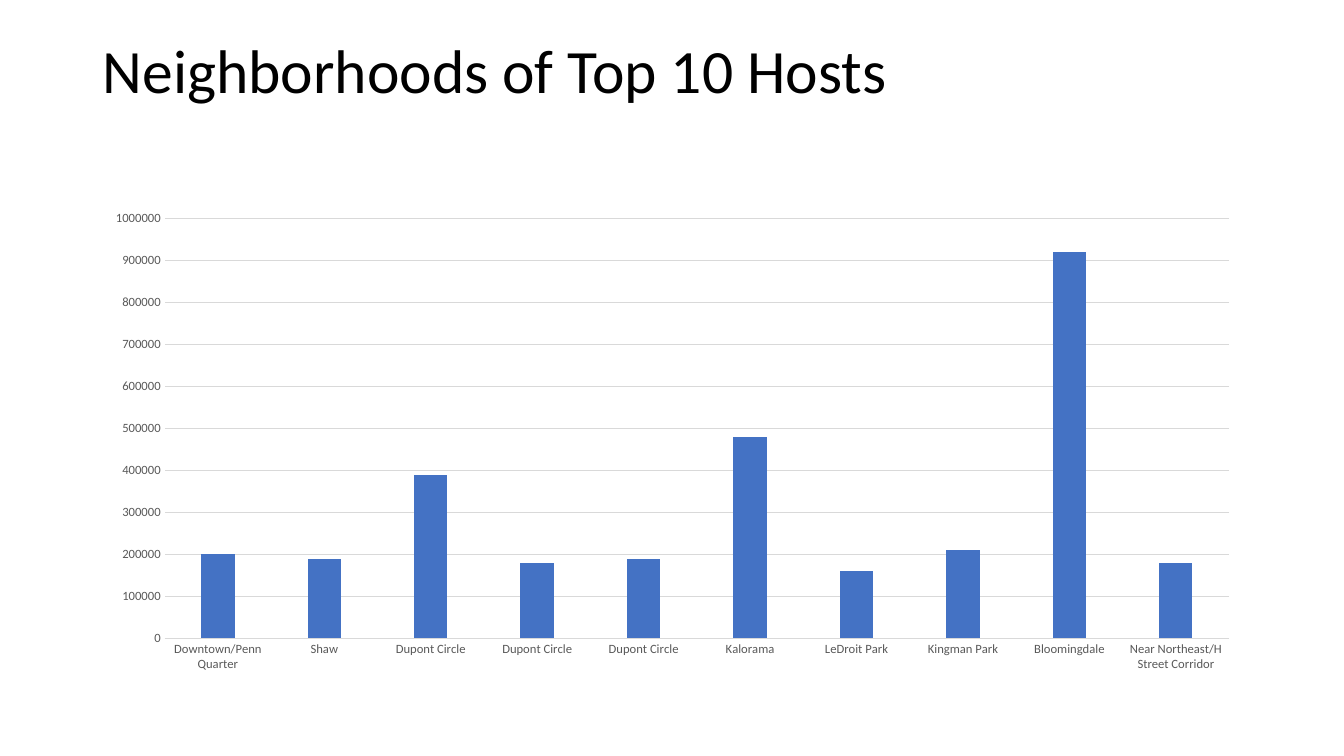
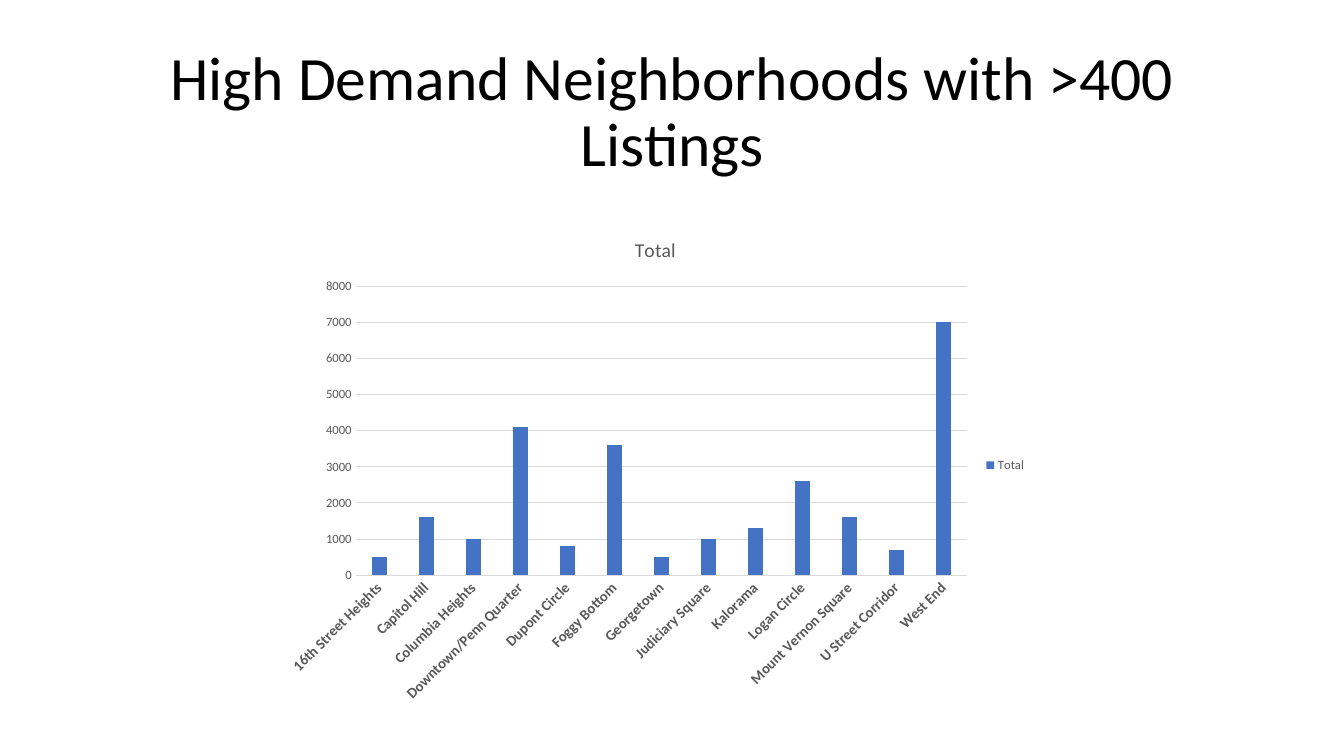
from pptx import Presentation
from pptx.chart.data import CategoryChartData
from pptx.dml.color import RGBColor
from pptx.enum.chart import XL_CHART_TYPE, XL_LEGEND_POSITION, XL_TICK_MARK
from pptx.enum.text import MSO_ANCHOR, MSO_AUTO_SIZE, PP_ALIGN
from pptx.util import Inches, Pt

FONT = "Calibri"
COLORS = {"title": "000000", "label": "595959", "grid": "D9D9D9", "bar": "4472C4"}

HOSTS = [
    ("Downtown/Penn Quarter", 200000), ("Shaw", 190000),
    ("Dupont Circle", 390000), ("Dupont Circle", 180000),
    ("Dupont Circle", 190000), ("Kalorama", 480000),
    ("LeDroit Park", 160000), ("Kingman Park", 210000),
    ("Bloomingdale", 920000), ("Near Northeast/H Street Corridor", 180000),
]
DEMAND = [
    ("16th Street Heights", 500), ("Capitol Hill", 1600),
    ("Columbia Heights", 1000), ("Downtown/Penn Quarter", 4100),
    ("Dupont Circle", 800), ("Foggy Bottom", 3600),
    ("Georgetown", 500), ("Judiciary Square", 1000),
    ("Kalorama", 1300), ("Logan Circle", 2600),
    ("Mount Vernon Square", 1600), ("U Street Corridor", 700),
    ("West End", 7000),
]


def rgb(name):
    return RGBColor.from_string(COLORS[name])


def assign(item, **values):
    for key, value in values.items():
        setattr(item, key, value)


def style(font, size, color="label", bold=False):
    assign(font, name=FONT, size=Pt(size), bold=bold)
    font.color.rgb = rgb(color)


def rule(line):
    line.color.rgb = rgb("grid")
    line.width = Pt(0.75)


def add_slide(deck, text, align, anchor):
    slide = deck.slides.add_slide(deck.slide_layouts[5])
    title = slide.shapes.title
    assign(title, left=Inches(0.92), top=Inches(0.4),
           width=Inches(11.5), height=Inches(1.45))
    frame = title.text_frame
    frame.text = text
    assign(frame, word_wrap=True, auto_size=MSO_AUTO_SIZE.NONE,
           vertical_anchor=anchor, margin_top=0, margin_bottom=0)
    par = frame.paragraphs[0]
    assign(par, alignment=align, line_spacing=0.9)
    style(par.runs[0].font, 44, "title")
    return slide


def add_bars(slide, box, name, rows, top, step):
    data = CategoryChartData()
    data.categories = [label for label, _ in rows]
    data.add_series(name, [value for _, value in rows])
    kind = XL_CHART_TYPE.COLUMN_CLUSTERED
    chart = slide.shapes.add_chart(kind, *map(Inches, box), data).chart
    assign(chart, has_title=False, has_legend=False)
    style(chart.font, 10, "title")
    plot = chart.plots[0]
    assign(plot, gap_width=219, overlap=-27, vary_by_categories=False)
    fill = plot.series[0].format.fill
    fill.solid()
    fill.fore_color.rgb = rgb("bar")
    for axis in (chart.category_axis, chart.value_axis):
        assign(axis, major_tick_mark=XL_TICK_MARK.NONE,
               minor_tick_mark=XL_TICK_MARK.NONE)
        style(axis.tick_labels.font, 9)
    rule(chart.category_axis.format.line)
    scale = chart.value_axis
    assign(scale, minimum_scale=0, maximum_scale=top, major_unit=step,
           has_major_gridlines=True)
    scale.format.line.fill.background()
    rule(scale.major_gridlines.format.line)
    return chart


def add_title(chart, text):
    chart.has_title = True
    frame = chart.chart_title.text_frame
    frame.text = text
    style(frame.paragraphs[0].runs[0].font, 14)
    chart.chart_title.include_in_layout = False


def add_legend(chart):
    chart.has_legend = True
    assign(chart.legend, position=XL_LEGEND_POSITION.RIGHT,
           include_in_layout=False)
    style(chart.legend.font, 9)


def tilt_labels(axis, angle):
    style(axis.tick_labels.font, 10.5, bold=True)
    body = axis._element.get_or_add_txPr().bodyPr
    body.set("rot", str(angle * 60000))
    body.set("vert", "horz")


def main():
    deck = Presentation()
    assign(deck, slide_width=Inches(13.33), slide_height=Inches(7.5))

    slide = add_slide(deck, "Neighborhoods of Top 10 Hosts",
                      PP_ALIGN.LEFT, MSO_ANCHOR.TOP)
    add_bars(slide, (0.92, 2, 11.5, 4.76), "Series 1", HOSTS, 1000000, 100000)

    slide = add_slide(deck, "High Demand Neighborhoods with >400 Listings",
                      PP_ALIGN.CENTER, MSO_ANCHOR.MIDDLE)
    chart = add_bars(slide, (2.72, 2.16, 7.56, 4.91), "Total", DEMAND, 8000, 1000)
    add_title(chart, "Total")
    add_legend(chart)
    tilt_labels(chart.category_axis, -45)

    deck.save("out.pptx")


if __name__ == "__main__":
    main()
